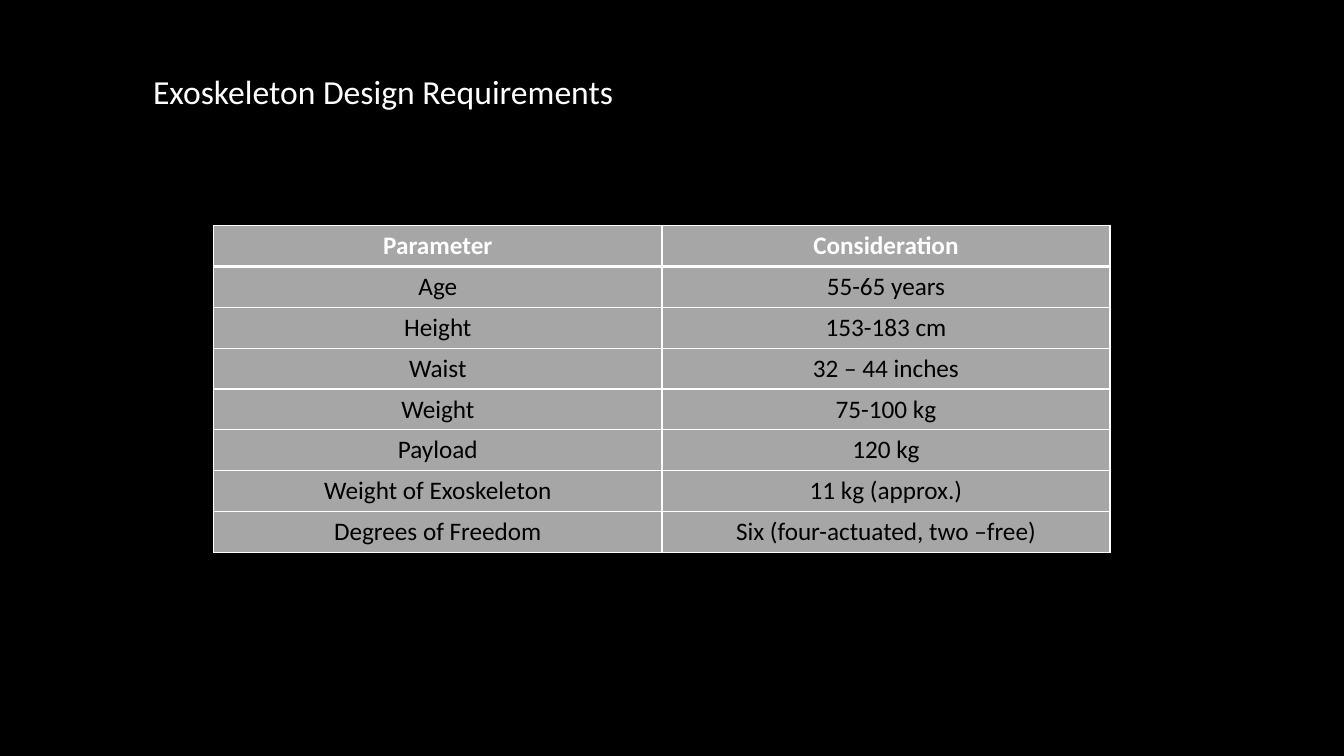
import pptx
import pptx.dml.color
import pptx.enum.text
import pptx.oxml.ns
import pptx.util
from lxml import etree

TITLE = "Exoskeleton Design Requirements"
REQUIREMENTS = [
    ("Parameter", "Consideration"),
    ("Age", "55-65 years"),
    ("Height", "153-183 cm"),
    ("Waist", "32 – 44 inches"),
    ("Weight", "75-100 kg"),
    ("Payload", "120 kg"),
    ("Weight of Exoskeleton", "11 kg (approx.)"),
    ("Degrees of Freedom", "Six (four-actuated, two –free)"),
]
FONT = "Calibri"
BLACK, WHITE, GREY = "000000", "FFFFFF", "A6A6A6"
COL_W, ROW_H = 4.445, 0.405
THIN, THICK = 1, 3


def color(value):
    return pptx.dml.color.RGBColor.from_string(value)


def box(*lengths):
    return [pptx.util.Inches(v) for v in lengths]


def format_runs(p, size, fill, bold=False):
    for r in p.runs:
        r.font.name = FONT
        r.font.size = pptx.util.Pt(size)
        r.font.bold = bold
        r.font.color.rgb = color(fill)


def add_border(cell, side, width):
    qn = pptx.oxml.ns.qn
    ln = etree.SubElement(cell._tc.get_or_add_tcPr(), qn("a:ln" + side),
                          w=str(pptx.util.Pt(width)))
    fill = etree.SubElement(ln, qn("a:solidFill"))
    etree.SubElement(fill, qn("a:srgbClr"), val=WHITE)


def main():
    prs = pptx.Presentation()
    prs.slide_width, prs.slide_height = box(13.33, 7.5)
    slide = prs.slides.add_slide(prs.slide_layouts[6])
    slide.background.fill.solid()
    slide.background.fill.fore_color.rgb = color(BLACK)

    # Title
    tf = slide.shapes.add_textbox(*box(1.42, 0.65, 5.63, 0.5)).text_frame
    tf.word_wrap = True
    tf.text = TITLE
    format_runs(tf.paragraphs[0], 24, WHITE)

    # Requirements table
    rows, cols = len(REQUIREMENTS), len(REQUIREMENTS[0])
    table = slide.shapes.add_table(
        rows, cols, *box(2.12, 2.24, cols * COL_W, rows * ROW_H)).table
    for i, row in enumerate(REQUIREMENTS):
        header = i == 0
        for j, text in enumerate(row):
            cell = table.cell(i, j)
            cell.text = text
            p = cell.text_frame.paragraphs[0]
            p.alignment = pptx.enum.text.PP_ALIGN.CENTER
            format_runs(p, 18, WHITE if header else BLACK, header)
            # The rule under the header is thicker than the rest
            for side in "LRTB":
                thick = (i, side) in ((0, "B"), (1, "T"))
                add_border(cell, side, THICK if thick else THIN)
            cell.fill.solid()
            cell.fill.fore_color.rgb = color(GREY)

    prs.save("out.pptx")


if __name__ == "__main__":
    main()
